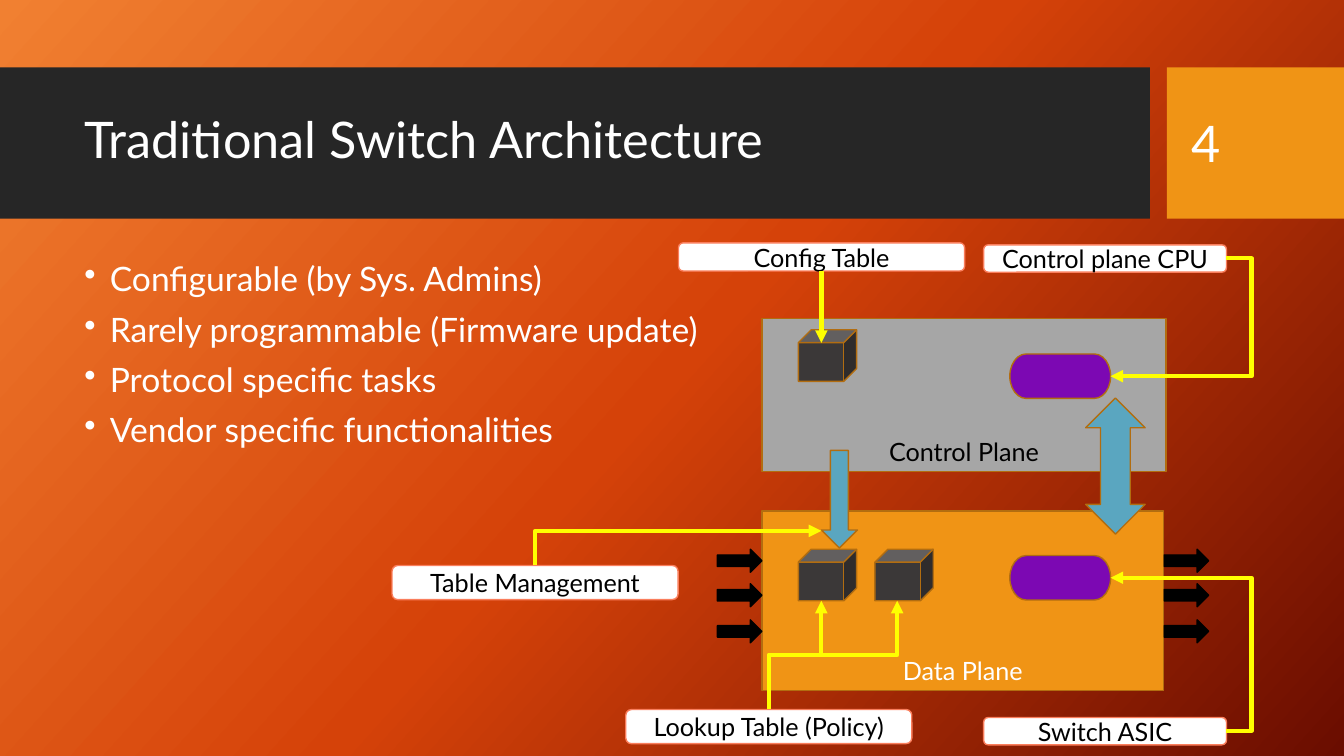
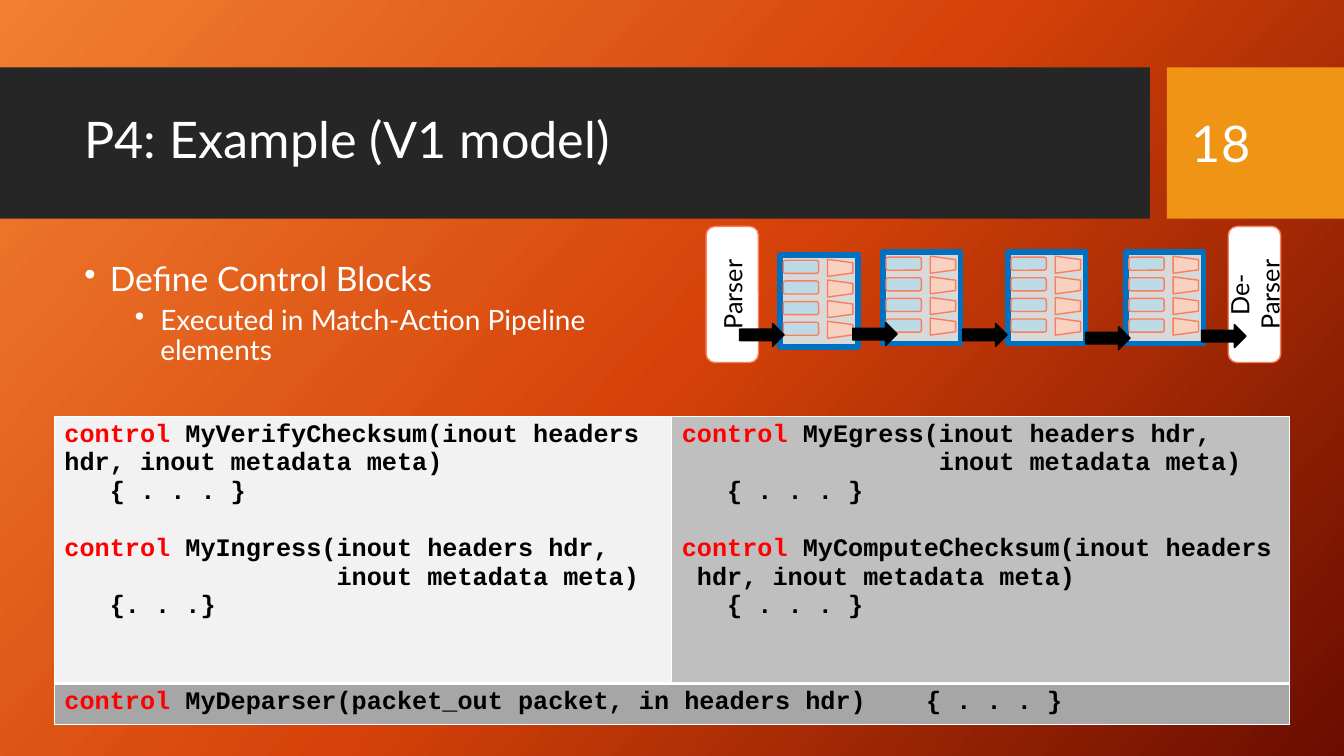
from copy import deepcopy

from lxml import etree
from pptx import Presentation
from pptx import util as u
from pptx.dml.color import RGBColor
from pptx.enum import shapes as kinds, text as t
from pptx.oxml.ns import qn

Cm, Pt = u.Cm, u.Pt
SHAPE, LINK = kinds.MSO_SHAPE, kinds.MSO_CONNECTOR

# Shared look
FONT, CODE_FONT = "Lato", "Courier New"
WHITE = RGBColor(0xFF, 0xFF, 0xFF)
BLACK = RGBColor(0, 0, 0)
RED = RGBColor(0xFF, 0, 0)
YELLOW = RGBColor(0xFF, 0xFF, 0)
BAND = RGBColor(0x26, 0x26, 0x26)
ORANGE = RGBColor(0xF0, 0x94, 0x15)
BROWN = RGBColor(0xB2, 0x6D, 0x10)
CORAL = RGBColor(0xFA, 0x7E, 0x5C)
PEACH = RGBColor(0xF9, 0xD1, 0xC1)
PURPLE = RGBColor(0x7C, 0x08, 0xB3)
CHARCOAL = RGBColor(0x3B, 0x38, 0x38)
TEAL = RGBColor(0x5A, 0xA6, 0xC0)
PALE_BLUE = RGBColor(0xBD, 0xDB, 0xE6)
BLUE = RGBColor(0, 0x70, 0xC0)
GRAY = RGBColor(0xA6, 0xA6, 0xA6)
MID_GRAY = RGBColor(0xBF, 0xBF, 0xBF)
LIGHT_GRAY = RGBColor(0xD9, 0xD9, 0xD9)
PALE_GRAY = RGBColor(0xF2, 0xF2, 0xF2)
BACKGROUND = [(0, RGBColor(0xF1, 0x80, 0x31)), (0.5, RGBColor(0xD5, 0x42, 0x09)),
              (1, RGBColor(0x6A, 0x0D, 0))]
CHARACTER = 0.381  # width in cm of one code character at 18 pt


def add_xml(parent, tag, **attributes):
    return etree.SubElement(parent, qn(tag), attributes)


def style_runs(paragraph, size, color, font=FONT, bold=False):
    for run in paragraph.runs:
        run.font.size = Pt(size)
        run.font.name = font
        run.font.bold = bold
        run.font.color.rgb = color


def add_box(shapes, kind, box, fill, line=None, width=1, text="",
            color=BLACK, anchor=t.MSO_ANCHOR.MIDDLE, rotation=0):
    shape = shapes.add_shape(kind, *map(Cm, box))
    shape.shadow.inherit = False
    shape.rotation = rotation
    shape.fill.solid()
    shape.fill.fore_color.rgb = fill
    if line is None:
        shape.line.fill.background()
    else:
        shape.line.color.rgb = line
        shape.line.width = Pt(width)
    if text:
        frame = shape.text_frame
        frame.text = text
        frame.word_wrap = True
        frame.vertical_anchor = anchor
        frame.paragraphs[0].alignment = t.PP_ALIGN.CENTER
        style_runs(frame.paragraphs[0], 18, color)
    return shape


def add_label(shapes, box, text, rotation=0):
    return add_box(shapes, SHAPE.ROUNDED_RECTANGLE, box, WHITE, CORAL,
                   text=text, rotation=rotation)


def add_packet_arrow(shapes, left, top):
    add_box(shapes, SHAPE.RIGHT_ARROW, (left, top, 1.12, 0.58), BLACK, BLACK)


def add_text(shapes, box, text, line_spacing=1.0):
    frame = shapes.add_textbox(*map(Cm, box)).text_frame
    frame.word_wrap = True
    frame.vertical_anchor = t.MSO_ANCHOR.MIDDLE
    frame.text = text
    frame.paragraphs[0].line_spacing = line_spacing
    style_runs(frame.paragraphs[0], 36, WHITE)


def add_bullets(shapes, width, items):
    """Each item is (level, text)."""
    frame = shapes.add_textbox(Cm(1.88), Cm(6.5), Cm(width), Cm(10)).text_frame
    frame.word_wrap = True
    for number, (level, text) in enumerate(items):
        paragraph = frame.add_paragraph() if number else frame.paragraphs[0]
        paragraph.text = text
        paragraph.level = level
        paragraph.line_spacing = 0.9
        paragraph.space_before = Pt(5 if level else 10)
        style_runs(paragraph, 20 if level else 24, WHITE)
        properties = paragraph._p.get_or_add_pPr()
        properties.set("marL", str(Cm(0.64 + 1.27 * level)))
        properties.set("indent", str(-Cm(0.64)))
        add_xml(properties, "a:buChar", char="•")


def add_link(shapes, start, end, source, target, kind=LINK.ELBOW,
             upright=False, preset=None, bend=None):
    """Glue an arrow to (shape, site) pairs; upright ones leave vertically."""
    first, last = start, end
    if upright:
        # The same path, described in a frame turned by a quarter
        middle_x, middle_y = (start[0] + end[0]) / 2, (start[1] + end[1]) / 2
        half_x, half_y = start[0] - middle_x, start[1] - middle_y
        first = (middle_x + half_y, middle_y - half_x)
        last = (middle_x - half_y, middle_y + half_x)
    link = shapes.add_connector(kind, *map(Cm, first + last))
    if upright:
        link.rotation = 90
    properties = link.element.spPr
    placed = deepcopy(properties.find(qn("a:xfrm")))
    link.begin_connect(*source)
    link.end_connect(*target)
    properties.replace(properties.find(qn("a:xfrm")), placed)

    geometry = properties.find(qn("a:prstGeom"))
    if preset:
        geometry.set("prst", preset)
    if bend is not None:
        guides = geometry.find(qn("a:avLst"))
        if guides is None:
            guides = add_xml(geometry, "a:avLst")
        add_xml(guides, "a:gd", name="adj1", fmla=f"val {round(bend * 100000)}")
    link.line.color.rgb = YELLOW
    link.line.width = Pt(3)
    add_xml(properties.find(qn("a:ln")), "a:tailEnd", type="triangle")
    add_xml(properties, "a:effectLst")


def add_slide(presentation, title, number):
    slide = presentation.slides.add_slide(presentation.slide_layouts[6])
    fill = slide.background.fill
    fill.gradient()
    fill.gradient_angle = 318
    stop_list = slide.element.find(".//" + qn("a:gsLst"))
    stop_list.append(deepcopy(stop_list[0]))
    for stop, (position, color) in zip(fill.gradient_stops, BACKGROUND):
        stop.position = position
        stop.color.rgb = color

    shapes = slide.shapes
    add_box(shapes, SHAPE.RECTANGLE, (0, 1.7, 28.98, 3.81), BAND)
    add_box(shapes, SHAPE.RECTANGLE, (29.41, 1.7, 4.46, 3.81), ORANGE)
    add_text(shapes, (1.88, 2.08, 26.7, 3), title, 0.9)
    add_text(shapes, (29.79, 2.08, 3.2, 3.02), str(number))
    return shapes


def add_stage(shapes, left, top):
    """A pipeline element with four match and action pairs."""
    group = shapes.add_group_shape().shapes
    add_box(group, SHAPE.RECTANGLE, (left, top, 1.96, 2.31), LIGHT_GRAY, BLUE, 4)
    for row in range(4):
        y = top + 0.52 * row
        add_box(group, SHAPE.ROUNDED_RECTANGLE, (left + 0.08, y + 0.13, 0.89, 0.33),
                PALE_BLUE, CORAL)
        add_box(group, SHAPE.FLOWCHART_MANUAL_OPERATION,
                (left + 1.3, y, 0.43, 0.64), PEACH, CORAL, rotation=270)


def fill_code_cell(cell, fill, lines, bottom=1):
    """Each line is (indent in characters, text)."""
    properties = cell._tc.get_or_add_tcPr()
    for side, width in (("L", 1), ("R", 1), ("T", 1), ("B", bottom)):
        border = add_xml(properties, f"a:ln{side}", w=str(Pt(width)))
        add_xml(add_xml(border, "a:solidFill"), "a:srgbClr", val=str(WHITE))
    cell.fill.solid()
    cell.fill.fore_color.rgb = fill
    frame = cell.text_frame
    for number, (indent, text) in enumerate(lines):
        paragraph = frame.add_paragraph() if number else frame.paragraphs[0]
        before, keyword, rest = text.partition("control ")
        for part in filter(None, (before, keyword, rest)):
            paragraph.add_run().text = part
        style_runs(paragraph, 18, BLACK, CODE_FONT, True)
        if keyword:
            paragraph.runs[0].font.color.rgb = RED
            if number:
                paragraph.space_before = Pt(20.5)
        paragraph_properties = paragraph._p.get_or_add_pPr()
        paragraph_properties.set("marL", str(Cm(indent * CHARACTER)))
        if "\t" in text:
            stops = add_xml(paragraph_properties, "a:tabLst")
            column = text.index("\t") + 4
            add_xml(stops, "a:tab", pos=str(Cm(column * CHARACTER)), algn="l")


def build_architecture(presentation):
    shapes = add_slide(presentation, "Traditional Switch Architecture", 4)
    add_bullets(shapes, 16.31, [(0, "Configurable (by Sys. Admins)"),
                                (0, "Rarely programmable (Firmware update)"),
                                (0, "Protocol specific tasks"),
                                (0, "Vendor specific functionalities")])

    # Planes and the traffic through them
    add_box(shapes, SHAPE.RECTANGLE, (19.2, 12.88, 10.13, 4.52), ORANGE, BROWN,
            text="Data Plane", color=WHITE, anchor=t.MSO_ANCHOR.BOTTOM)
    add_box(shapes, SHAPE.RECTANGLE, (19.2, 8.03, 10.19, 3.86), GRAY, BROWN,
            text="Control Plane", anchor=t.MSO_ANCHOR.BOTTOM)
    for left in (18.08, 29.34):
        for top in (13.84, 14.71, 15.62):
            add_packet_arrow(shapes, left, top)
    exchange = add_box(shapes, SHAPE.UP_DOWN_ARROW, (27.36, 10.03, 1.5, 3.43), TEAL, BROWN)
    exchange.adjustments[0] = 0.286
    exchange.adjustments[1] = 0.5

    # Processors and tables
    cpu, asic = [add_box(shapes, SHAPE.FLOWCHART_TERMINATOR, (25.45, top, 2.54, 1.12),
                         PURPLE, BROWN) for top in (8.92, 14)]
    config, lookup, policy = [
        add_box(shapes, SHAPE.CUBE, (left, top, 1.47, 1.3), CHARCOAL, BROWN)
        for left, top in ((20.12, 8.31), (20.12, 13.84), (22.05, 13.84))]
    update = add_box(shapes, SHAPE.DOWN_ARROW, (20.7, 11.35, 0.91, 2.46), TEAL, BROWN)

    # Labels and their arrows
    for text, top, target, center in (("Control plane CPU", 6.17, cpu, 9.48),
                                      ("Switch ASIC", 18.08, asic, 14.56)):
        label = add_label(shapes, (24.79, top, 6.12, 0.69), text)
        add_link(shapes, (30.91, top + 0.34), (27.99, center),
                 (label, 3), (target, 3), bend=-0.216)
    label = add_label(shapes, (15.77, 17.88, 7.21, 0.86), "Lookup Table (Policy)")
    for cube, x in ((lookup, 20.7), (policy, 22.61)):
        add_link(shapes, (19.38, 17.88), (x, 15.14), (label, 0), (cube, 3), upright=True)
    label = add_label(shapes, (9.88, 14.25, 7.21, 0.86), "Table Management")
    add_link(shapes, (13.49, 14.25), (20.7, 13.38), (label, 0), (update, 1),
             upright=True, preset="bentConnector2")
    label = add_label(shapes, (17.1, 6.12, 7.21, 0.71), "Config Table")
    add_link(shapes, (20.7, 6.83), (20.7, 8.64), (label, 2), (config, 1),
             kind=LINK.STRAIGHT)


def build_example(presentation):
    shapes = add_slide(presentation, "P4: Example (V1 model)", 18)
    add_bullets(shapes, 15.04, [(0, "Define Control Blocks"),
                                (1, "Executed in Match-Action Pipeline elements")])

    # Code table
    table = shapes.add_table(2, 2, Cm(1.37), Cm(10.49), Cm(31.12), Cm(7.77)).table
    table.first_row = table.horz_banding = False
    table.rows[0].height, table.rows[1].height = Cm(6.73), Cm(1.04)
    table.cell(1, 0).merge(table.cell(1, 1))
    fill_code_cell(table.cell(0, 0), PALE_GRAY, [
        (0, "control MyVerifyChecksum(inout headers hdr, inout metadata meta)"),
        (3, "{ . . . }"),
        (0, "control MyIngress(inout headers hdr,"),
        (18, "inout metadata meta)"),
        (3, "{. . .}")], bottom=3)
    fill_code_cell(table.cell(0, 1), MID_GRAY, [
        (0, "control MyEgress(inout headers hdr,"),
        (17, "inout metadata meta)"),
        (3, "{ . . . }"),
        (0, "control MyComputeChecksum(inout headers"),
        (1, "hdr, inout metadata meta)"),
        (3, "{ . . . }")], bottom=3)
    fill_code_cell(table.cell(1, 0), GRAY, [
        (0, "control MyDeparser(packet_out packet, in headers hdr)\t{ . . . }")])

    # Pipeline
    for text, left in (("Parser", 16.74), ("De-Parser", 29.9)):
        add_label(shapes, (left, 6.76, 3.43, 1.32), text, rotation=270)
    for left, top in ((19.66, 6.43), (22.25, 6.35), (25.4, 6.35), (28.37, 6.35)):
        add_stage(shapes, left, top)
    for left, top in ((18.64, 8.15), (21.49, 8.13), (24.26, 8.15),
                      (27.36, 8.23), (30.28, 8.18)):
        add_packet_arrow(shapes, left, top)


def main():
    presentation = Presentation()
    presentation.slide_width, presentation.slide_height = Cm(33.87), Cm(19.05)
    build_architecture(presentation)
    build_example(presentation)
    presentation.save("out.pptx")


if __name__ == "__main__":
    main()
